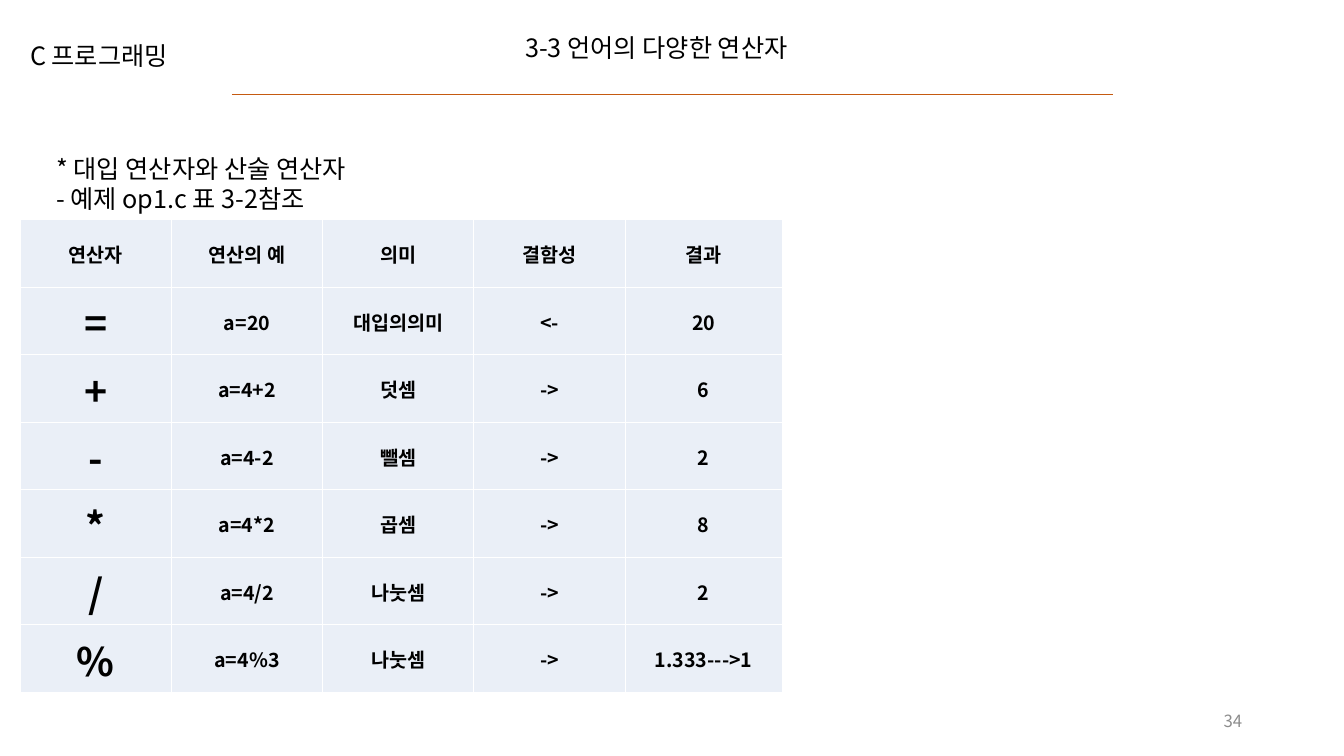
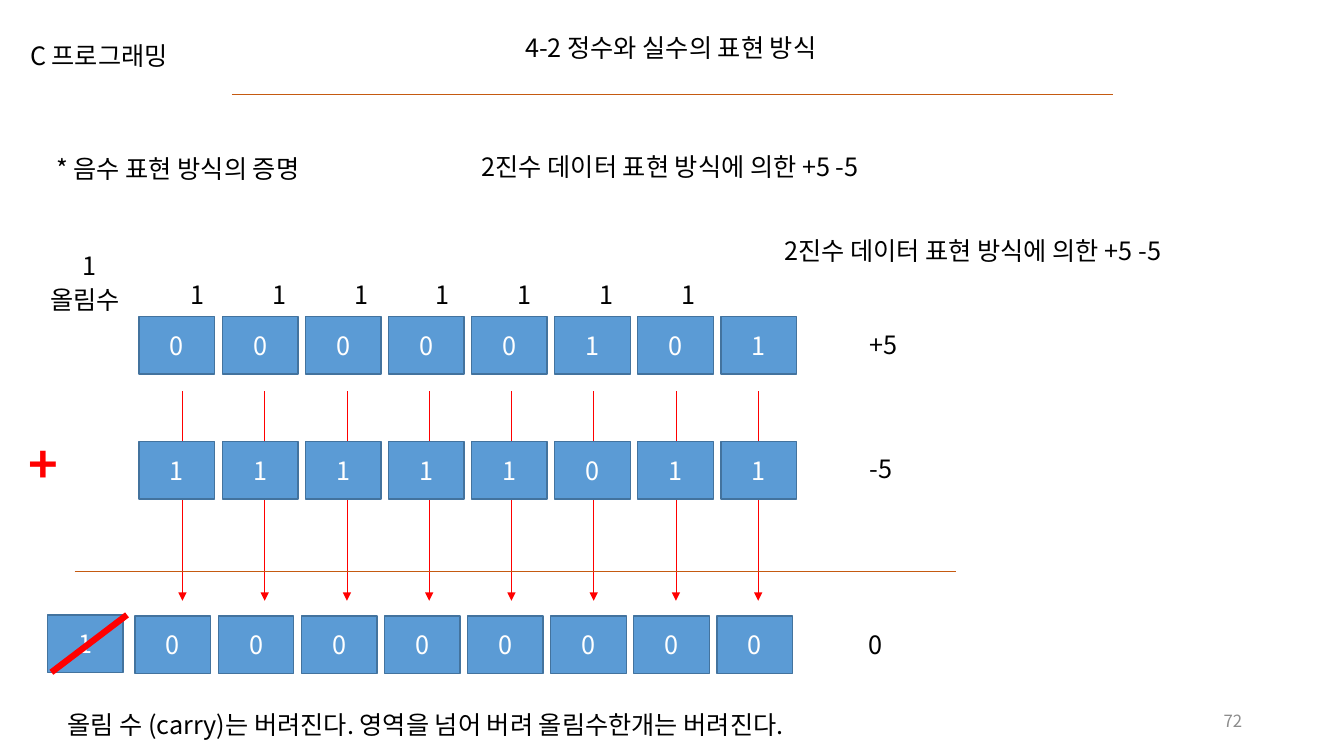
"""Build two C programming slides: an operator table and a binary addition."""
from lxml import etree
from pptx import Presentation
from pptx import util as u
from pptx.dml.color import RGBColor
from pptx.enum import shapes, text
from pptx.oxml.ns import qn

FONT = "Noto Sans CJK KR"
BLACK, WHITE, RED, ORANGE, GRAY = "000000", "FFFFFF", "FF0000", "C55A11", "8C8C8C"
BOX_FILL, BOX_LINE, CELL_FILL = "5B9BD5", "43739E", "EAEFF7"
GRID = u.Inches(0.1)
color = RGBColor.from_string


def write(frame, lines, size=18, ink=BLACK, bold=False, align=text.PP_ALIGN.LEFT):
    frame.text = lines
    for paragraph in frame.paragraphs:
        paragraph.alignment = align
        font = paragraph.font
        font.size, font.bold, font.name = u.Pt(size), bold, FONT
        font.color.rgb = color(ink)
        etree.SubElement(font._rPr, qn("a:ea"), typeface=FONT)


def draw_line(slide, ends, ink, width=0.5, arrow=False):
    connector = slide.shapes.add_connector(
        shapes.MSO_CONNECTOR.STRAIGHT, *[int(end * GRID) for end in ends])
    connector.line.color.rgb = color(ink)
    connector.line.width = u.Pt(width)
    if arrow:
        etree.SubElement(connector.line._get_or_add_ln(), qn("a:tailEnd"), type="triangle")
    etree.SubElement(connector._element.spPr, qn("a:effectLst"))


presentation = Presentation()
presentation.slide_width, presentation.slide_height = u.Inches(13.33), u.Inches(7.5)
blank = presentation.slide_layouts[6]
operator_slide = presentation.slides.add_slide(blank)
addition_slide = presentation.slides.add_slide(blank)

bit_count = 8
bit_pitch, bit_width, bit_height = 57.7 / (bit_count - 1), 7.5, 5.7
bit_rows = [
    ("00000101", 13.8, 31.4),
    ("11111011", 13.8, 43.8),
    ("00000000", 13.4, 61.1),
    ("1", 4.7, 61),
]
arrow_pitch = 57.1 / (bit_count - 1)
for column in range(bit_count):
    x = 18.1 + column * arrow_pitch
    draw_line(addition_slide, (x, 38.8, x, 59.6), RED, arrow=True)

for bits, left, top in bit_rows:
    for column, bit in enumerate(bits):
        place = (left + column * bit_pitch, top, bit_width, bit_height)
        box = addition_slide.shapes.add_shape(
            shapes.MSO_SHAPE.RECTANGLE, *[int(length * GRID) for length in place])
        box.shadow.inherit = False
        box.fill.solid()
        box.fill.fore_color.rgb = color(BOX_FILL)
        box.line.color.rgb = color(BOX_LINE)
        box.line.width = u.Pt(1)
        box.text_frame.vertical_anchor = text.MSO_ANCHOR.MIDDLE
        write(box.text_frame, bit, ink=WHITE, align=text.PP_ALIGN.CENTER)

draw_line(addition_slide, (7.4, 56.7, 94.8, 56.7), ORANGE)
draw_line(addition_slide, (12.6, 61, 5.1, 66.7), RED, width=4.5)

binary_caption = "2진수 데이터 표현 방식에 의한 +5 -5"
labels = [
    (operator_slide, 4.6, 14.7, 34.4, "* 대입 연산자와 산술 연산자\n- 예제 op1.c 표 3-2참조"),
    (addition_slide, 4.6, 14.7, 29.4, "* 음수 표현 방식의 증명"),
    (addition_slide, 46.8, 14.5, 44.6, binary_caption),
    (addition_slide, 76.8, 22.9, 44.6, binary_caption),
    (addition_slide, 85.3, 32.2, 5.2, "+5"),
    (addition_slide, 85.3, 44.5, 4.4, "-5"),
    (addition_slide, 85.2, 61.9, 3.4, "0"),
    (addition_slide, 5.7, 69.9, 80, "올림 수 (carry)는 버려진다. 영역을 넘어 버려 올림수한개는 버려진다."),
    (addition_slide, 4, 27.7, 9.6, "올림수"),
    (addition_slide, 7.2, 24.3, 3.4, "1"),
]
for column in range(bit_count - 1):
    labels.append((addition_slide, 17.9 + column * 48.7 / 6, 27.2, 3.4, "1"))

pages = [
    (operator_slide, "3-3 언어의 다양한 연산자", 31.2, "34"),
    (addition_slide, "4-2 정수와 실수의 표현 방식", 34.6, "72"),
]
for slide, title, title_width, number in pages:
    draw_line(slide, (23, 9.4, 110.4, 9.4), ORANGE)
    labels.append((slide, 2, 3.5, 17.1, "C 프로그래밍"))
    labels.append((slide, 51.1, 2.7, title_width, title))
    place = (94.2, 69.5, 30, 4)
    footer = slide.shapes.add_textbox(*[int(length * GRID) for length in place])
    footer.text_frame.word_wrap = True
    footer.text_frame.vertical_anchor = text.MSO_ANCHOR.MIDDLE
    write(footer.text_frame, number, size=12, ink=GRAY, align=text.PP_ALIGN.RIGHT)

plus_sign = (addition_slide, 1.8, 42.5, 5.6, "+")
for label in labels + [plus_sign]:
    slide, left, top, width, lines = label
    is_plus = label is plus_sign
    height = 7.1 if is_plus or "\n" in lines else 4
    place = (left, top, width, height)
    frame = slide.shapes.add_textbox(*[int(length * GRID) for length in place]).text_frame
    frame.word_wrap = False
    frame.auto_size = text.MSO_AUTO_SIZE.SHAPE_TO_FIT_TEXT
    write(frame, lines, size=36 if is_plus else 18, ink=RED if is_plus else BLACK, bold=is_plus)

operators = [
    ("연산자", "연산의 예", "의미", "결함성", "결과"),
    ("=", "a=20", "대입의의미", "<-", "20"),
    ("+", "a=4+2", "덧셈", "->", "6"),
    ("-", "a=4-2", "뺄셈", "->", "2"),
    ("*", "a=4*2", "곱셈", "->", "8"),
    ("/", "a=4/2", "나눗셈", "->", "2"),
    ("%", "a=4%3", "나눗셈", "->", "1.333--->1"),
]
column_widths = [15, 15, 15, 15, 15.6]
place = (2, 21.8, sum(column_widths), 46.9)
table = operator_slide.shapes.add_table(
    len(operators), len(column_widths), *[int(length * GRID) for length in place]).table
table.first_row = table.horz_banding = False
for column, width in zip(table.columns, column_widths):
    column.width = int(width * GRID)
for row_index, values in enumerate(operators):
    for column_index, value in enumerate(values):
        cell = table.cell(row_index, column_index)
        cell.vertical_anchor = text.MSO_ANCHOR.MIDDLE
        cell.margin_left = cell.margin_right = cell.margin_top = u.Inches(0.01)
        cell.margin_bottom = 0
        for side in ("a:lnL", "a:lnR", "a:lnT", "a:lnB"):
            border = etree.SubElement(cell._tc.get_or_add_tcPr(), qn(side), w=str(u.Pt(1)))
            border_fill = etree.SubElement(border, qn("a:solidFill"))
            etree.SubElement(border_fill, qn("a:srgbClr"), val=WHITE)
        cell.fill.solid()
        cell.fill.fore_color.rgb = color(CELL_FILL)
        is_symbol = row_index > 0 and column_index == 0
        write(cell.text_frame, value, size=28 if is_symbol else 14, bold=True,
              align=text.PP_ALIGN.CENTER)

presentation.save("out.pptx")
